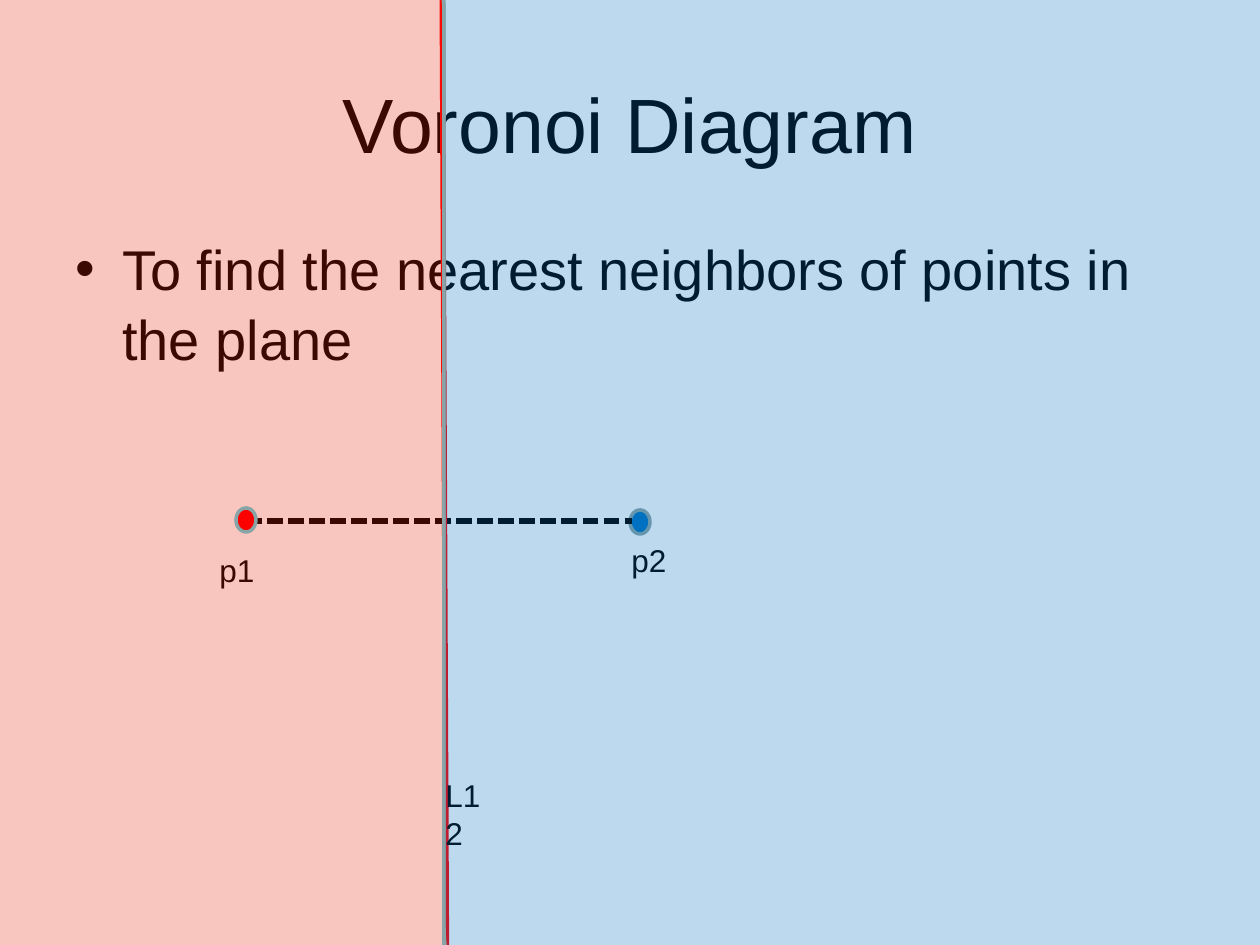
from dataclasses import dataclass

from lxml import etree
from pptx import Presentation
from pptx.dml.color import RGBColor
from pptx.enum.dml import MSO_LINE
from pptx.enum.shapes import MSO_CONNECTOR, MSO_SHAPE
from pptx.enum.text import MSO_ANCHOR, PP_ALIGN
from pptx.oxml.ns import qn
from pptx.util import Emu, Pt

STRAIGHT = MSO_CONNECTOR.STRAIGHT
DOT, REGION = MSO_SHAPE.FLOWCHART_CONNECTOR, MSO_SHAPE.ROUNDED_RECTANGLE
SYS_DASH = MSO_LINE.SQUARE_DOT
TOP, MIDDLE = MSO_ANCHOR.TOP, MSO_ANCHOR.MIDDLE
LEFT, CENTER = PP_ALIGN.LEFT, PP_ALIGN.CENTER
EMU_PER_PX = 914400 / 126
BLACK, RED, BLUE, OUTLINE = "000000", "FF0000", "0070C0", "89A4A7"


@dataclass
class Text:
    wording: str
    x: int
    y: int
    w: int
    h: int
    size: int = 18
    wrap: bool = False
    align: int = LEFT
    anchor: int = TOP
    margin_top: int = 9


@dataclass
class Area:
    preset: int
    x: int
    y: int
    w: int
    h: int
    fill: str
    opacity: int = 100


@dataclass
class Segment:
    x1: int
    y1: int
    x2: int
    y2: int
    color: str
    dashed: bool = False


TITLE = Text("Voronoi Diagram", 63, 38, 1134, 157, 44, True, CENTER, MIDDLE, 18)
AIM = Text("To find the nearest neighbors of points in the plane",
           63, 223, 1134, 624, 32, True)
LABELS = [Text("p1", 207, 542, 60, 50), Text("p2", 619, 532, 60, 50),
          Text("L12", 433, 767, 77, 50)]
P1_DOT = Area(DOT, 236, 508, 20, 24, RED)
P2_DOT = Area(DOT, 630, 510, 20, 24, BLUE)
P1_REGION = Area(REGION, -29, -69, 473, 1162, "E62404", 26)
P2_REGION = Area(REGION, 444, -147, 876, 1221, BLUE, 26)
P1_TO_P2 = Segment(246, 521, 632, 521, BLACK, True)
BISECTOR = Segment(442, -39, 447, 1043, RED)


def px(length: int) -> Emu:
    return Emu(round(length * EMU_PER_PX))


def rgb(color: str) -> RGBColor:
    return RGBColor.from_string(color)


def add_text(slide, text: Text, bullet: bool = False) -> None:
    box = slide.shapes.add_textbox(px(text.x), px(text.y), px(text.w), px(text.h))
    frame = box.text_frame
    frame.text = text.wording
    frame.word_wrap = text.wrap
    frame.vertical_anchor = text.anchor
    frame.margin_top = px(text.margin_top)
    paragraph = frame.paragraphs[0]
    paragraph.alignment = text.align
    if bullet:
        paragraph.line_spacing = 1.04
        properties = paragraph._p.get_or_add_pPr()
        properties.set("marL", str(px(47)))
        properties.set("indent", str(px(-47)))
        etree.SubElement(properties, qn("a:buFont"), typeface="Arial")
        etree.SubElement(properties, qn("a:buChar"), char="•")
    font = paragraph.runs[0].font
    font.name, font.size = "Arial", Pt(text.size)
    font.color.rgb = rgb(BLACK)


def add_area(slide, area: Area) -> None:
    shape = slide.shapes.add_shape(area.preset, px(area.x), px(area.y),
                                   px(area.w), px(area.h))
    shape.shadow.inherit = False
    shape.fill.solid()
    shape.fill.fore_color.rgb = rgb(area.fill)
    if area.opacity < 100:
        color = shape._element.spPr.find(qn("a:solidFill"))[0]
        etree.SubElement(color, qn("a:alpha"), val=str(area.opacity * 1000))
    shape.line.color.rgb = rgb(OUTLINE)
    shape.line.width = Pt(2)


def add_segment(slide, segment: Segment) -> None:
    line = slide.shapes.add_connector(STRAIGHT, px(segment.x1), px(segment.y1),
                                      px(segment.x2), px(segment.y2))
    line.line.color.rgb = rgb(segment.color)
    line.line.width = Pt(3)
    if segment.dashed:
        line.line.dash_style = SYS_DASH
    etree.SubElement(line._element.spPr, qn("a:effectLst"))


def main() -> None:
    deck = Presentation()
    deck.slide_width, deck.slide_height = px(1260), px(945)
    slide = deck.slides.add_slide(deck.slide_layouts[6])

    # Heading and aim
    add_text(slide, TITLE)
    add_text(slide, AIM, bullet=True)

    # Points, the segment between them and its bisector
    add_area(slide, P2_DOT)
    add_segment(slide, P1_TO_P2)
    add_segment(slide, BISECTOR)
    for label in LABELS:
        add_text(slide, label)

    # Translucent half-planes, with p1 on top
    for area in (P1_REGION, P2_REGION, P1_DOT):
        add_area(slide, area)

    deck.save("out.pptx")


if __name__ == "__main__":
    main()
